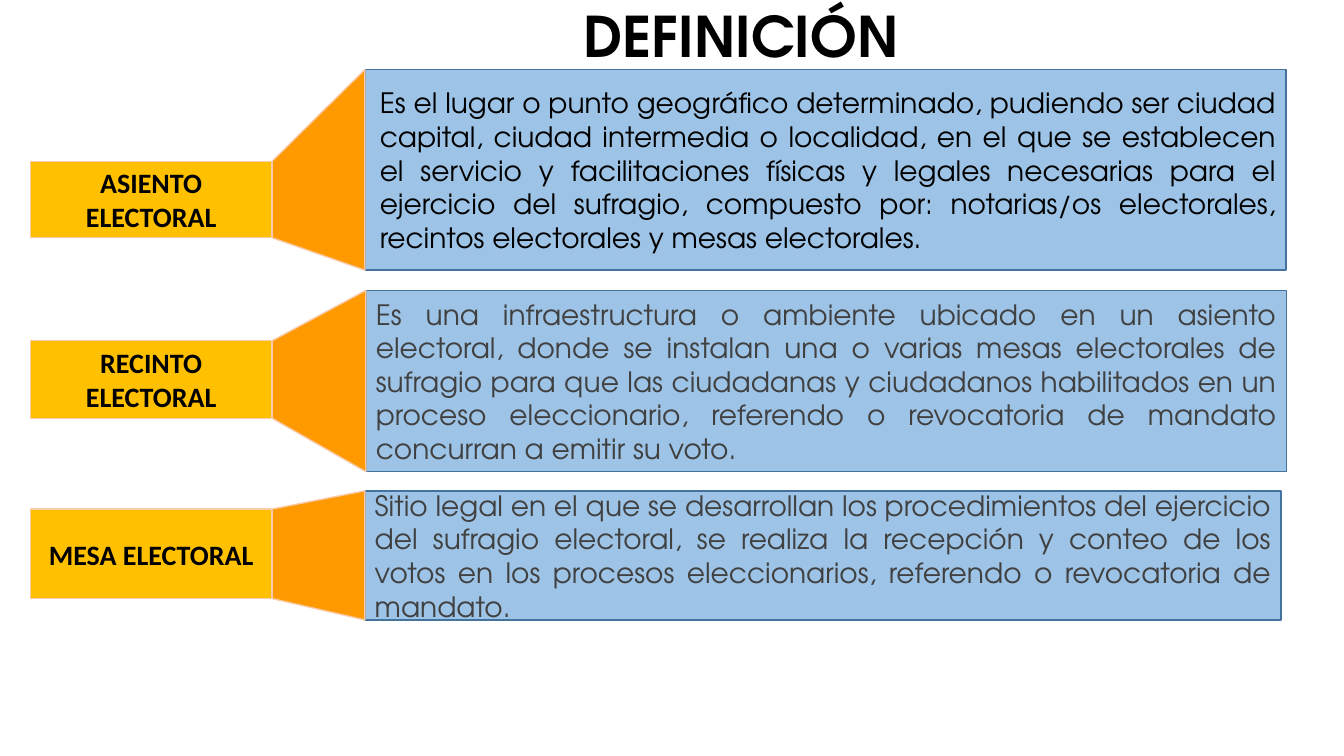
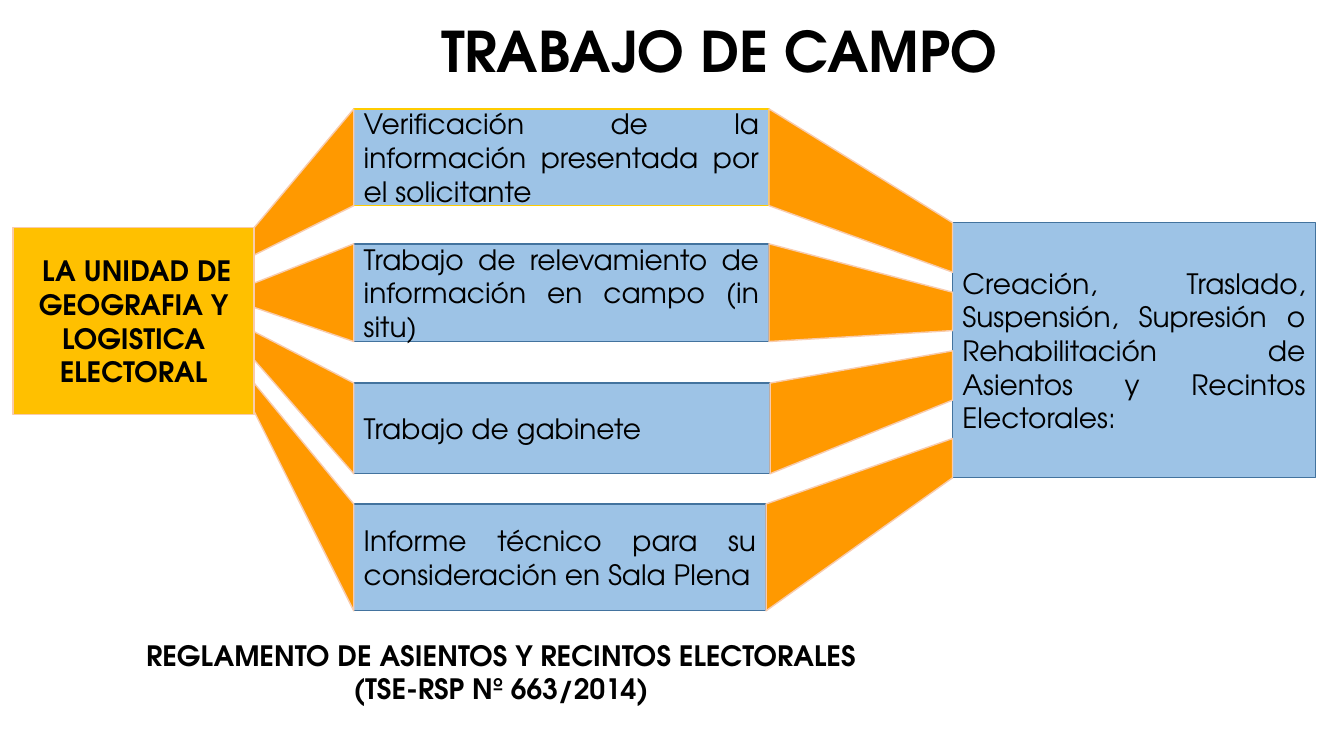
from dataclasses import dataclass

from lxml.etree import SubElement
from pptx import Presentation
from pptx.dml.color import RGBColor
from pptx.enum.shapes import MSO_SHAPE
from pptx.enum.text import MSO_ANCHOR, PP_ALIGN
from pptx.util import Pt


@dataclass(frozen=True)
class Theme:
    gold: str = "FFC000"
    blue: str = "9DC3E6"
    orange: str = "FF9900"
    peach_line: str = "F8CBAD"
    blue_line: str = "43739E"
    yellow_line: str = "FFCC00"
    black: str = "000000"
    gray: str = "404040"
    font: str = "TeX Gyre Adventor"
    label_font: str = "Calibri"
    title_size: int = 40
    title_gap_size: int = 28
    body_size: int = 20


T = Theme()


# Text
def add_run(p, text, size=T.body_size, font=T.font, color=T.black, bold=False):
    r = p.add_run()
    r.text = text
    r.font.size = Pt(size)
    r.font.name = font
    r.font.bold = bold
    r.font.color.rgb = RGBColor.from_string(color)


def add_textbox(s, x, y, w, h, anchor=MSO_ANCHOR.TOP):
    tf = s.shapes.add_textbox(Pt(x), Pt(y), Pt(w), Pt(h)).text_frame
    tf.word_wrap = True
    tf.vertical_anchor = anchor
    return tf


def add_title(s, text, x, w, h, align=PP_ALIGN.CENTER, anchor=MSO_ANCHOR.TOP):
    p = add_textbox(s, x, 8.6, w, h, anchor).paragraphs[0]
    p.alignment = align
    add_run(p, text, T.title_size, bold=True)
    return p


# Boxes
def paint(sp, fill, line):
    sp.shadow.inherit = False
    sp.fill.solid()
    sp.fill.fore_color.rgb = RGBColor.from_string(fill)
    sp.line.color.rgb = RGBColor.from_string(line)
    sp.line.width = Pt(1)


def add_box(s, x, y, w, h, fill, line, align):
    sp = s.shapes.add_shape(MSO_SHAPE.RECTANGLE, Pt(x), Pt(y), Pt(w), Pt(h))
    paint(sp, fill, line)
    tf = sp.text_frame
    tf.word_wrap = True
    tf.vertical_anchor = MSO_ANCHOR.MIDDLE
    p = tf.paragraphs[0]
    p.alignment = align
    return sp, p


def add_label(s, x, y, w, h, text, font=T.label_font, lead=""):
    sp, p = add_box(s, x, y, w, h, T.gold, T.peach_line, PP_ALIGN.CENTER)
    if lead:
        add_run(p, lead, font=T.label_font, bold=True)
    add_run(p, text, font=font, bold=True)
    return sp


def add_body(s, x, y, w, h, text, color=T.black, line=T.blue_line, indent=0):
    sp, p = add_box(s, x, y, w, h, T.blue, line, PP_ALIGN.JUSTIFY)
    if indent:
        p._p.get_or_add_pPr().set("marL", str(Pt(indent)))
    add_run(p, text, color=color)
    return sp


# Beams: four-sided links between two vertical edges (x, top, bottom)
def left_edge(sp):
    return sp.left, sp.top, sp.top + sp.height


def right_edge(sp):
    return sp.left + sp.width, sp.top, sp.top + sp.height


def add_beam(s, start, end):
    x1, top1, bottom1 = start
    x2, top2, bottom2 = end
    fb = s.shapes.build_freeform(x1, top1)
    fb.add_line_segments([(x2, top2), (x2, bottom2), (x1, bottom1)])
    paint(fb.convert_to_shape(), T.orange, T.peach_line)


# Slides
def definition_slide(s):
    p = add_title(s, "DEFINICIÓN", 409.7, 272, 39, PP_ALIGN.LEFT, MSO_ANCHOR.MIDDLE)
    p.line_spacing = 0.9

    # Label (top, height), body (left, top, width, height), colour, indent
    rows = [
        ("ASIENTO ELECTORAL", (115.2, 54.7), (260.6, 49.7, 658, 143.3), T.black, 3.6,
         "Es el lugar o punto geográfico determinado, pudiendo ser ciudad capital, "
         "ciudad intermedia o localidad, en el que se establecen el servicio y "
         "facilitaciones físicas y legales necesarias para el ejercicio del sufragio, "
         "compuesto por: notarias/os electorales, recintos electorales y mesas "
         "electorales."),
        ("RECINTO ELECTORAL", (243.4, 55.4), (261.4, 207.4, 657.4, 129.6), T.gray, 0,
         "Es una infraestructura o ambiente ubicado en un asiento electoral, donde se "
         "instalan una o varias mesas electorales de sufragio para que las ciudadanas "
         "y ciudadanos habilitados en un proceso eleccionario, referendo o "
         "revocatoria de mandato concurran a emitir su voto."),
        ("MESA ELECTORAL", (363.6, 64), (260.6, 350.6, 654.5, 92.2), T.gray, 0,
         "Sitio legal en el que se desarrollan los procedimientos del ejercicio del "
         "sufragio electoral, se realiza la recepción y conteo de los votos en los "
         "procesos eleccionarios, referendo o revocatoria de mandato."),
    ]
    for name, (top, height), area, color, indent, text in rows:
        label = add_label(s, 21.6, top, 172.8, height, name)
        body = add_body(s, *area, text, color=color, indent=indent)
        add_beam(s, right_edge(label), left_edge(body))


def field_work_slide(s):
    p = add_title(s, "TRABAJO DE CAMPO", 252.7, 529.9, 85)
    add_run(p, " ", T.title_gap_size, bold=True)

    unit = add_label(s, 9.4, 162.7, 172.1, 133.2,
                     "LA UNIDAD DE GEOGRAFIA Y LOGISTICA ELECTORAL", T.font, " ")
    result = add_body(s, 680.4, 159.1, 259.2, 182.2,
                      "Creación, Traslado, Suspensión, Supresión o Rehabilitación de "
                      "Asientos y Recintos Electorales:")

    # Step (top, width, height), line, beam ends on the unit and on the result
    steps = [
        ("Verificación de la información presentada por el solicitante",
         (77.8, 296.6, 69.1), T.yellow_line, (162.7, 182.2), (159.1, 194.4)),
        ("Trabajo de relevamiento de información en campo (in situ)",
         (174.2, 296.6, 69.8), T.blue_line, (202.3, 219.6), (208.8, 236.2)),
        ("Trabajo de gabinete",
         (273.6, 297.4, 64.8), T.blue_line, (236.9, 257), (250.6, 285.8)),
        ("Informe técnico para su consideración en Sala Plena",
         (360, 294.5, 76.3), T.blue_line, (273.6, 293.8), (313.2, 341.3)),
    ]
    for text, (top, width, height), line, unit_ends, result_ends in steps:
        step = add_body(s, 252.7, top, width, height, text, line=line)
        add_beam(s, (unit.left + unit.width, *map(Pt, unit_ends)), left_edge(step))
        add_beam(s, right_edge(step), (result.left, *map(Pt, result_ends)))

    # Regulation reference
    tf = add_textbox(s, 9.4, 452.2, 697, 85)
    lines = ["REGLAMENTO DE ASIENTOS Y RECINTOS ELECTORALES", "(TSE-RSP Nº 663/2014)"]
    for i, text in enumerate(lines):
        p = tf.add_paragraph() if i else tf.paragraphs[0]
        p.alignment = PP_ALIGN.CENTER
        add_run(p, text, bold=True)


def main():
    prs = Presentation()
    prs.slide_width, prs.slide_height = Pt(960), Pt(540)
    for build in (definition_slide, field_work_slide):
        build(prs.slides.add_slide(prs.slide_layouts[6]))
    prs.save("out.pptx")


if __name__ == "__main__":
    main()
